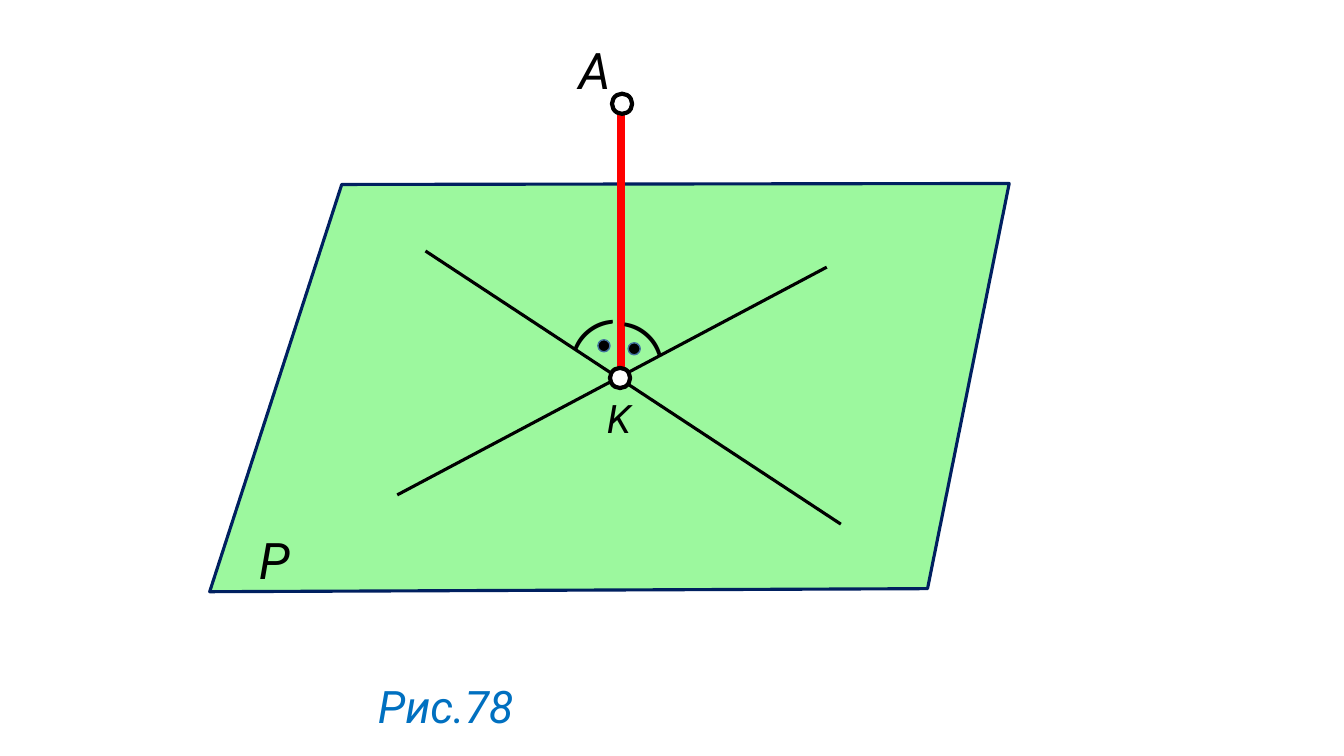
from dataclasses import dataclass

from lxml import etree
from pptx import Presentation
from pptx.dml.color import RGBColor
from pptx.enum.shapes import MSO_CONNECTOR, MSO_SHAPE
from pptx.enum.text import MSO_AUTO_SIZE
from pptx.oxml.ns import qn
from pptx.util import Pt

PX = 9144  # EMU in one px, 100 px to the inch
STRAIGHT = MSO_CONNECTOR.STRAIGHT
OVAL = MSO_SHAPE.OVAL
GROW = MSO_AUTO_SIZE.SHAPE_TO_FIT_TEXT


@dataclass(frozen=True)
class Theme:
    plane: str = "9CF89E"
    plane_edge: str = "002060"
    ink: str = "000000"
    paper: str = "FFFFFF"
    perpendicular: str = "FF0000"
    dot_edge: str = "43739E"
    caption: str = "0070C0"
    font: str = "Roboto"
    arc_font: str = "Calibri"
    letter_size: int = 36
    foot_size: int = 28
    caption_size: int = 32
    arc_size: int = 40
    thin: float = 2.25
    thick: int = 6
    ring: int = 3
    hairline: int = 1


THEME = Theme()


def set_line(s, color, width):
    s.line.color.rgb = RGBColor.from_string(color)
    s.line.width = Pt(width)


def paint(s, fill, line, width):
    s.shadow.inherit = False
    s.fill.solid()
    s.fill.fore_color.rgb = RGBColor.from_string(fill)
    set_line(s, line, width)


def add_segment(slide, start, end, color, width):
    s = slide.shapes.add_connector(STRAIGHT, *(v * PX for v in start + end))
    set_line(s, color, width)
    etree.SubElement(s._element.spPr, qn("a:effectLst"))


def add_circle(slide, x, y, size, fill, line, width):
    s = slide.shapes.add_shape(OVAL, x * PX, y * PX, size * PX, size * PX)
    paint(s, fill, line, width)


def add_text(slide, box, text, size, color=THEME.ink, font=THEME.font,
             italic=True, wrap=True, rotation=0):
    s = slide.shapes.add_textbox(*(v * PX for v in box))
    s.rotation = rotation
    tf = s.text_frame
    tf.word_wrap = wrap
    tf.auto_size = GROW
    r = tf.paragraphs[0].add_run()
    r.text = text
    r.font.color.rgb = RGBColor.from_string(color)
    formats = {"name": font, "size": Pt(size), "italic": italic}
    for name, value in formats.items():
        setattr(r.font, name, value)


def draw_plane(slide, x, y, w, h):
    corners = [(x + 131, y + 1), (x + w, y), (x + w - 81, y + h - 3), (x, y + h)]
    builder = slide.shapes.build_freeform(*corners[0], scale=PX)
    builder.add_line_segments(corners[1:], close=True)
    paint(builder.convert_to_shape(), THEME.plane, THEME.plane_edge, THEME.thin)
    add_text(slide, (x + 39, y + h - 67, 48, 71), "P", THEME.letter_size)


def draw_perpendicular(slide, x, y, w, h):
    """The box runs from point A at the top to its foot K at the bottom."""
    mid, foot = x + w // 2, y + h

    # Perpendicular and the two lines through its foot
    add_segment(slide, (mid, y), (mid, foot), THEME.perpendicular, THEME.thick)
    for start, end in [((-194, -126), (218, 145)), ((204, -110), (-222, 116))]:
        add_segment(slide, (mid + start[0], foot + start[1]),
                    (mid + end[0], foot + end[1]), THEME.ink, THEME.thin)

    # Right-angle marks: a dot under an arc on each side
    for dot_x, dot_y, arc_x, arc_y, turn in [(7, -35, 10, -76, 131.1),
                                             (-23, -38, -43, -87, 53.5)]:
        add_circle(slide, mid + dot_x, foot + dot_y, 12,
                   THEME.ink, THEME.dot_edge, THEME.hairline)
        add_text(slide, (mid + arc_x, foot + arc_y, 37, 77), "(",
                 THEME.arc_size, font=THEME.arc_font, italic=False,
                 wrap=False, rotation=turn)

    # End points and their letters
    for left, top in [(mid - 11, foot - 10), (mid - 9, y - 6)]:
        add_circle(slide, left, top, 20, THEME.paper, THEME.ink, THEME.ring)
    add_text(slide, (mid - 52, y - 65, 48, 71), "A", THEME.letter_size)
    add_text(slide, (mid - 24, foot + 11, 65, 57), "K", THEME.foot_size)


def draw_caption(slide, x, y, w, h):
    add_text(slide, (x, y, w, h), "Рис.78", THEME.caption_size, THEME.caption)


def main():
    prs = Presentation()
    prs.slide_width, prs.slide_height = 1333 * PX, 750 * PX
    slide = prs.slides.add_slide(prs.slide_layouts[6])
    draw_plane(slide, 208, 182, 793, 405)
    draw_perpendicular(slide, 606, 99, 20, 276)
    draw_caption(slide, 365, 668, 160, 64)
    prs.save("out.pptx")


if __name__ == "__main__":
    main()
